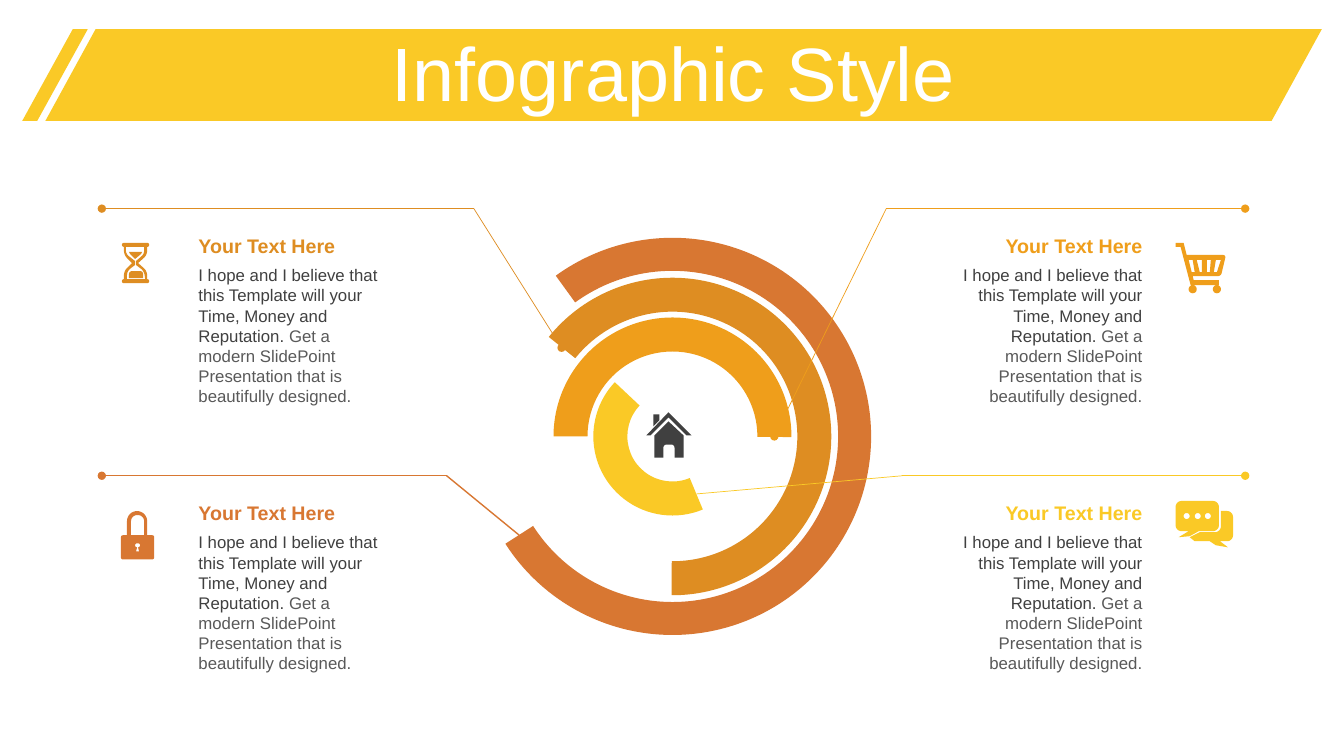
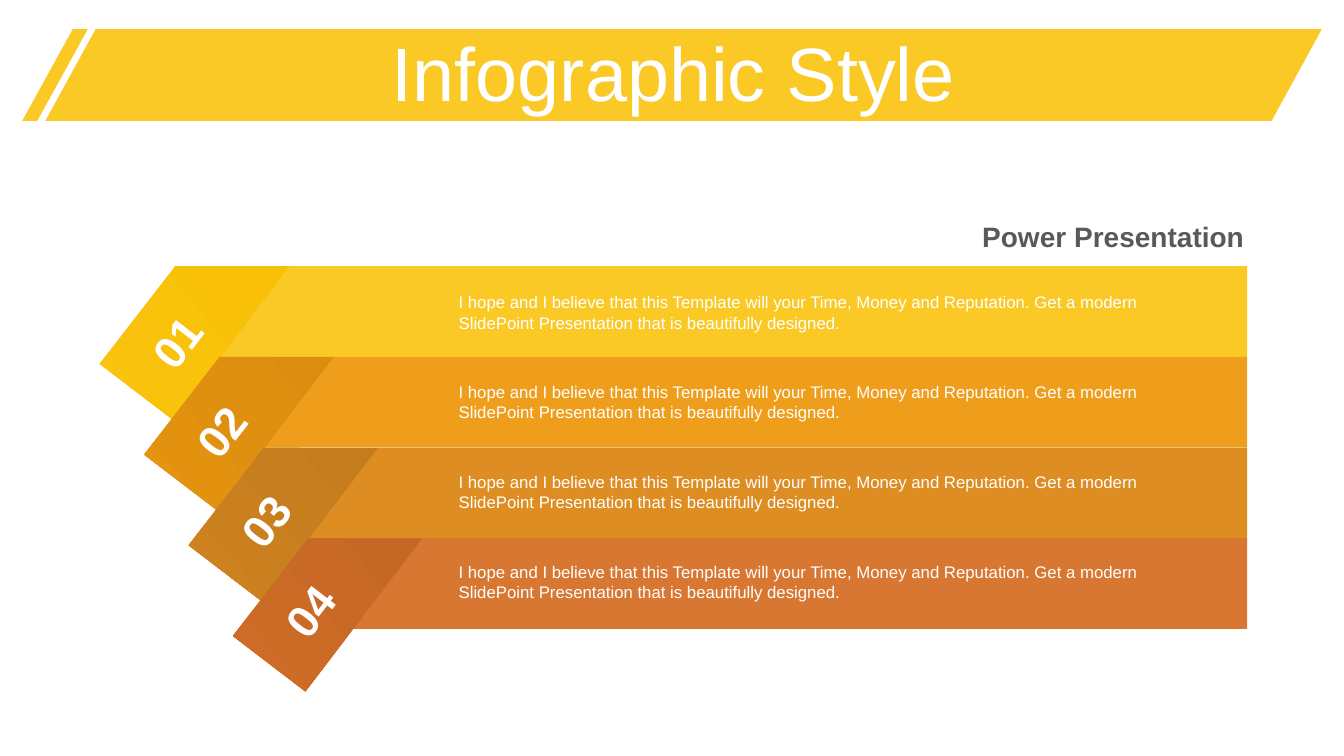
from lxml import etree
from pptx import Presentation
from pptx import util as u
from pptx.dml import color
from pptx.enum import shapes, text
from pptx.oxml import ns

PX = 9144
FONT = "Arial"
COLORS = {
    "yellow": "FAC926",
    "amber": "EF9E1B",
    "ochre": "DE8D22",
    "rust": "D87732",
    "dark": "404040",
    "grey": "595959",
    "white": "FFFFFF",
}
RIBBONS = {
    "yellow": ("F8C006", "F9C30F"),
    "amber": ("DB8D0F", "E59310"),
    "ochre": ("C47C1D", "CD821F"),
    "rust": ("C56825", "CE6C27"),
}
LEFT, CENTER, RIGHT = text.PP_ALIGN.LEFT, text.PP_ALIGN.CENTER, text.PP_ALIGN.RIGHT
HOPE = "I hope and I believe that this Template will your Time, Money and Reputation."
MODERN = " Get a modern SlidePoint Presentation that is beautifully designed."


def emu(value):
    return u.Emu(round(value * PX))


def rgb(name):
    return color.RGBColor.from_string(COLORS.get(name, name))


def finish(shape, fill):
    shape.shadow.inherit = False
    shape.line.fill.background()
    if isinstance(fill, tuple):
        shape.fill.gradient()
        shape.fill.gradient_angle = 220
        for stop, shade in zip(shape.fill.gradient_stops, fill):
            stop.color.rgb = rgb(shade)
    else:
        shape.fill.solid()
        shape.fill.fore_color.rgb = rgb(fill)
    return shape


def add_preset(page, kind, box, fill, adjustments=()):
    shape = page.shapes.add_shape(kind, *map(emu, box))
    for index, value in enumerate(adjustments):
        shape.adjustments[index] = value
    return finish(shape, fill)


def add_text(page, box, runs, size, align=LEFT, bold=False):
    frame_box = page.shapes.add_textbox(*map(emu, box))
    frame = frame_box.text_frame
    frame.word_wrap = True
    para = frame.paragraphs[0]
    para.alignment = align
    for words, tint in runs:
        span = para.add_run()
        span.text = words
        span.font.name = FONT
        span.font.size = u.Pt(size)
        span.font.bold = bold
        span.font.color.rgb = rgb(tint)
    return frame_box


def add_line(page, start, end, tint, weight=0.5, dot=None):
    line = page.shapes.add_connector(
        shapes.MSO_CONNECTOR.STRAIGHT, *map(emu, (*start, *end)))
    line.line.color.rgb = rgb(tint)
    line.line.width = u.Pt(weight)
    if dot:
        etree.SubElement(line.line._get_or_add_ln(), ns.qn(f"a:{dot}")).set("type", "oval")
    etree.SubElement(line._element.spPr, ns.qn("a:effectLst"))


def toward(start, end, share):
    return tuple(a + (b - a) * share for a, b in zip(start, end))


def round_corner(before, corner, after, radius, steps=8):
    def leave(neighbour):
        length = sum((a - b) ** 2 for a, b in zip(corner, neighbour)) ** 0.5
        return toward(corner, neighbour, radius / length)

    start, end = leave(before), leave(after)
    controls = start, toward(start, corner, 0.55), toward(end, corner, 0.55), end
    for step in range(steps + 1):
        points = controls
        while len(points) > 1:
            points = [toward(a, b, step / steps) for a, b in zip(points, points[1:])]
        yield points[0]


def outline(corners):
    points = []
    for index, (x, y, *radius) in enumerate(corners):
        if radius:
            before, after = corners[index - 1][:2], corners[(index + 1) % len(corners)][:2]
            points += round_corner(before, (x, y), after, radius[0])
        else:
            points.append((x, y))
    return points


def disc(x, y, r):
    return [(x - r, y - r, r), (x + r, y - r, r), (x + r, y + r, r), (x - r, y + r, r)]


def add_outline(page, left, top, contours, fill):
    builder = None
    for contour in contours:
        first, *rest = [(emu(left + x), emu(top + y)) for x, y in outline(contour)]
        if builder is None:
            builder = page.shapes.build_freeform(*first)
        else:
            builder.move_to(*first)
        builder.add_line_segments(rest, close=True)
    finish(builder.convert_to_shape(), fill)


HOURGLASS = [
    [(0, 0, 2), (27, 0, 2), (27, 4, 2), (25, 4), (25, 12, 4), (16, 20), (25, 28, 4),
     (25, 36), (27, 36, 2), (27, 40, 2), (0, 40, 2), (0, 36, 2), (2, 36), (2, 28, 4),
     (10, 20), (2, 12, 4), (2, 4), (0, 4, 2)],
    [(4, 4), (22, 4), (22, 11, 3), (14, 18), (14, 22), (22, 28, 4), (23, 36), (5, 36),
     (5, 28, 4), (13, 22), (13, 18), (4, 11, 3)],
    [(7, 9), (20, 9), (19, 11), (13, 16), (8, 11)],
    [(7, 35), (7, 28, 3), (21, 28, 3), (21, 35)],
]
LOCK = [
    [(0, 24, 2), (6, 24), (6, 0, 10), (26, 0, 10), (26, 24), (33, 24, 2), (33, 48, 2),
     (0, 48, 2)],
    [(10, 24), (10, 4, 6), (23, 4, 6), (23, 24)],
    [(14, 32, 2), (19, 32, 2), (19, 36, 2), (17, 36), (18, 40), (15, 40), (16, 36),
     (14, 36, 2)],
]
CART = [
    [(0, 0), (8, 0), (11, 12), (50, 12, 3), (45, 33, 3), (17, 33), (18, 37), (43, 37),
     (43, 42), (15, 42), (5, 4), (0, 4)],
    [(13, 17), (16, 29), (19, 29), (17, 17)],
    [(21, 17), (24, 29), (26, 29), (26, 17)],
    [(31, 17), (31, 29), (34, 29), (35, 17)],
    [(40, 17), (38, 29), (41, 29), (45, 17)],
    disc(17, 46, 4),
    disc(41, 46, 4),
]
CHAT = [
    [(0, 0, 6), (43, 0, 6), (43, 30, 6), (23, 30), (14, 35), (3, 36), (13, 30), (0, 30, 6)],
    [(45, 10), (57, 10, 6), (57, 40, 6), (44, 40), (52, 46), (40, 44), (34, 40), (19, 40),
     (14, 36), (24, 31), (45, 31, 6)],
    *[disc(x, 15, 3) for x in (11, 22, 32)],
]
HOUSE = [
    [(22, 9), (37, 23), (37, 45), (28, 45), (28, 32, 3), (17, 32, 3), (17, 45), (8, 45),
     (8, 23)],
    [(7, 2), (13, 2), (13, 8), (7, 14)],
    [(22, 0), (45, 23), (40, 23), (22, 5), (4, 23), (0, 23)],
]


def add_page(deck, title):
    page = deck.slides.add_slide(deck.slide_layouts[6])
    for left, width, slant in ((45, 1266, 0.547), (22, 65, 0.771)):
        add_preset(page, shapes.MSO_SHAPE.PARALLELOGRAM, (left, 29, width, 91), "yellow", [slant])
    box = add_text(page, (35, 37, 1266, 79), [(title, "white")], 54, CENTER)
    box.text_frame.vertical_anchor = text.MSO_ANCHOR.MIDDLE
    box.text_frame.paragraphs[0].line_spacing = 0.9
    return page


def add_rings(page, x, y):
    for size, tint, adjustments in (
        (236, "amber", (108, 0.185, 0.143)),
        (394, "rust", (140.413, 88.366, 0.083)),
        (315, "ochre", (131.299, 54.198, 0.107)),
        (157, "yellow", (40.48, 133.936, 0.215)),
    ):
        box = (x - size / 2, y - size / 2, size, size)
        add_preset(page, shapes.MSO_SHAPE.BLOCK_ARC, box, tint, adjustments)
    add_outline(page, x - 26, y - 24, HOUSE, "dark")


def add_callout(page, edge, top, tint, elbow, target, dot, weight, icon, icon_at):
    bend = (edge + elbow, top)
    add_line(page, (edge, top), bend, tint, dot="headEnd")
    add_line(page, bend, (edge + target[0], top + target[1]), tint, weight, dot)
    on_left = elbow > 0
    align, width = (LEFT, 200) if on_left else (RIGHT, 205)
    left = edge + 86 if on_left else edge - 92 - width
    add_text(page, (left, top + 20, width, 34), [("Your Text Here", tint)], 14, align, True)
    runs = [(HOPE, "dark"), (MODERN, "grey")]
    add_text(page, (left, top + 51, width, 151), runs, 12, align)
    add_outline(page, edge + icon_at[0], top + icon_at[1], icon, tint)


def add_step(page, left, top, index, tint):
    indent = left + 44 * index
    row = top + 90 * index
    bar_left = indent + 74
    add_preset(page, shapes.MSO_SHAPE.RECTANGLE, (bar_left, row, 1237 - bar_left, 90), tint)
    ribbon = [(0, 97), (72, 152), (188, 0), (75, 0)]
    add_outline(page, indent, row, [ribbon], RIBBONS[tint])
    label_row = row - index
    number = [(f"{index + 1:02}", "white")]
    add_text(page, (indent + 23, label_row + 43, 106, 64), number, 32, CENTER, True).rotation = 307.5
    add_text(page, (left + 346, label_row + 21, 741, 50), [(HOPE + MODERN, "white")], 12)


def build_rings_page(deck):
    page = add_page(deck, "Infographic Style")
    add_rings(page, 667, 433)
    for callout in (
        (101, 207, "ochre", 369, (456, 138), "tailEnd", 0.5, HOURGLASS, (20, 34)),
        (101, 472, "rust", 342, (414, 59), None, 1, LOCK, (19, 35)),
        (1235, 207, "amber", -356, (-467, 226), "tailEnd", 0.5, CART, (-69, 34)),
        (1235, 472, "yellow", -340, (-544, 18), None, 0.5, CHAT, (-69, 25)),
    ):
        add_callout(page, *callout)


def build_steps_page(deck):
    page = add_page(deck, "Infographic Style")
    for index, tint in enumerate(RIBBONS):
        add_step(page, 99, 264, index, tint)
    heading = [("Power Presentation", "grey")]
    add_text(page, (961, 213, 273, 44), heading, 20, RIGHT, True).text_frame.margin_right = 0


def main():
    deck = Presentation()
    deck.slide_width, deck.slide_height = emu(1333), emu(750)
    build_rings_page(deck)
    build_steps_page(deck)
    deck.save("out.pptx")


if __name__ == "__main__":
    main()
